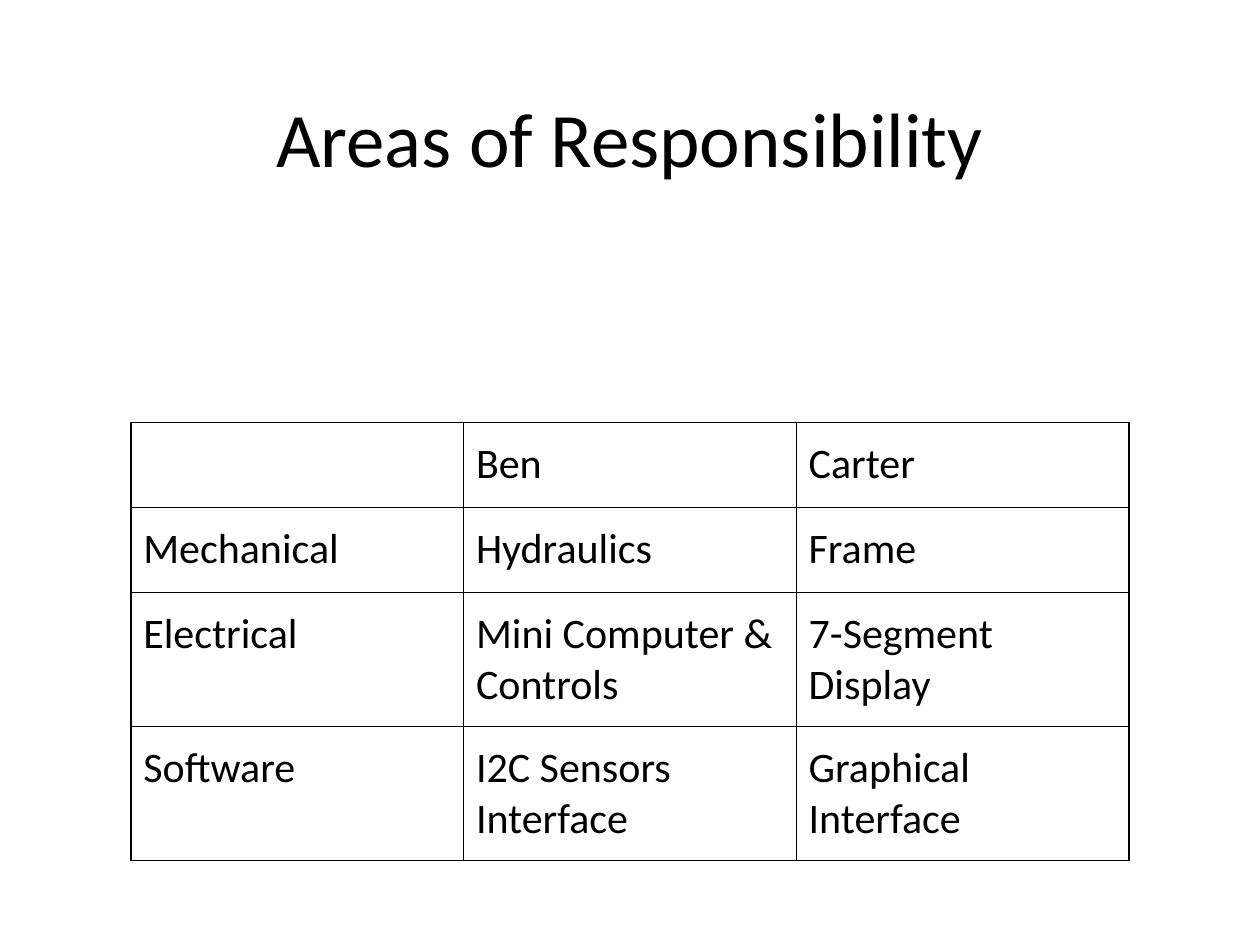
from lxml import etree
from pptx import Presentation
from pptx import util as u
from pptx.dml.color import RGBColor
from pptx.enum import text
from pptx.oxml import ns

FONT = "Calibri"
INK = "000000"
ROWS = [
    ["", "Ben", "Carter"],
    ["Mechanical", "Hydraulics", "Frame"],
    ["Electrical", "Mini Computer & Controls", "7-Segment Display"],
    ["Software", "I2C Sensors Interface", "Graphical Interface"],
]


def color(value):
    """Turn a hex string into a colour."""
    return RGBColor.from_string(value)


def add_span(para, words, size):
    """Add one formatted run to a paragraph."""
    span = para.add_run()
    span.text = words
    span.font.name = FONT
    span.font.size = u.Pt(size)
    span.font.color.rgb = color(INK)


def set_borders(cell, width=0.75):
    """Draw a thin solid line on all four sides of a cell."""
    properties = cell._tc.get_or_add_tcPr()
    for side in ("a:lnL", "a:lnR", "a:lnT", "a:lnB"):
        line = etree.SubElement(properties, ns.qn(side), w=str(u.Pt(width)))
        fill = etree.SubElement(line, ns.qn("a:solidFill"))
        etree.SubElement(fill, ns.qn("a:srgbClr"), val=INK)


def place_title(page, words, left, top, width, height):
    """Move the title placeholder into the given box and fill it."""
    title = page.shapes.title
    title.left, title.top, title.width, title.height = left, top, width, height
    frame = title.text_frame
    frame.word_wrap = True
    frame.auto_size = text.MSO_AUTO_SIZE.NONE
    frame.vertical_anchor = text.MSO_ANCHOR.BOTTOM
    frame.margin_left = frame.margin_right = u.Cm(0.25)
    frame.margin_top = frame.margin_bottom = u.Cm(0.25)
    para = frame.paragraphs[0]
    para.alignment = text.PP_ALIGN.CENTER
    add_span(para, words, 44)


def fill_cell(cell, words):
    """Format one table cell and write its text."""
    set_borders(cell)
    cell.fill.background()
    cell.margin_left = cell.margin_right = u.Cm(0.25)
    cell.margin_top = cell.margin_bottom = u.Cm(0.32)
    if words:
        para = cell.text_frame.paragraphs[0]
        para.alignment = text.PP_ALIGN.LEFT
        add_span(para, words, 24)


def place_table(page, rows, left, top, width, height):
    """Add a plain ruled table; rows with two lines grow to fit."""
    holder = page.shapes.add_table(len(rows), len(rows[0]), left, top, width, height)
    table = holder.table
    table.first_row = table.horz_banding = False
    for row, entries in zip(table.rows, rows):
        row.height = u.Cm(1.71)
        for cell, words in zip(row.cells, entries):
            fill_cell(cell, words)
    holder.height = height


def build():
    """Build and save the deck."""
    deck = Presentation()
    deck.slide_width, deck.slide_height = u.Cm(25.4), u.Cm(19.05)
    page = deck.slides.add_slide(deck.slide_layouts[5])
    page.background.fill.solid()
    page.background.fill.fore_color.rgb = color("FFFFFF")
    place_title(page, "Areas of Responsibility",
                u.Cm(1.27), u.Cm(0.76), u.Cm(22.86), u.Cm(3.18))
    place_table(page, ROWS, u.Cm(2.64), u.Cm(8.52), u.Cm(20.12), u.Cm(8.81))
    deck.save("out.pptx")


build()
